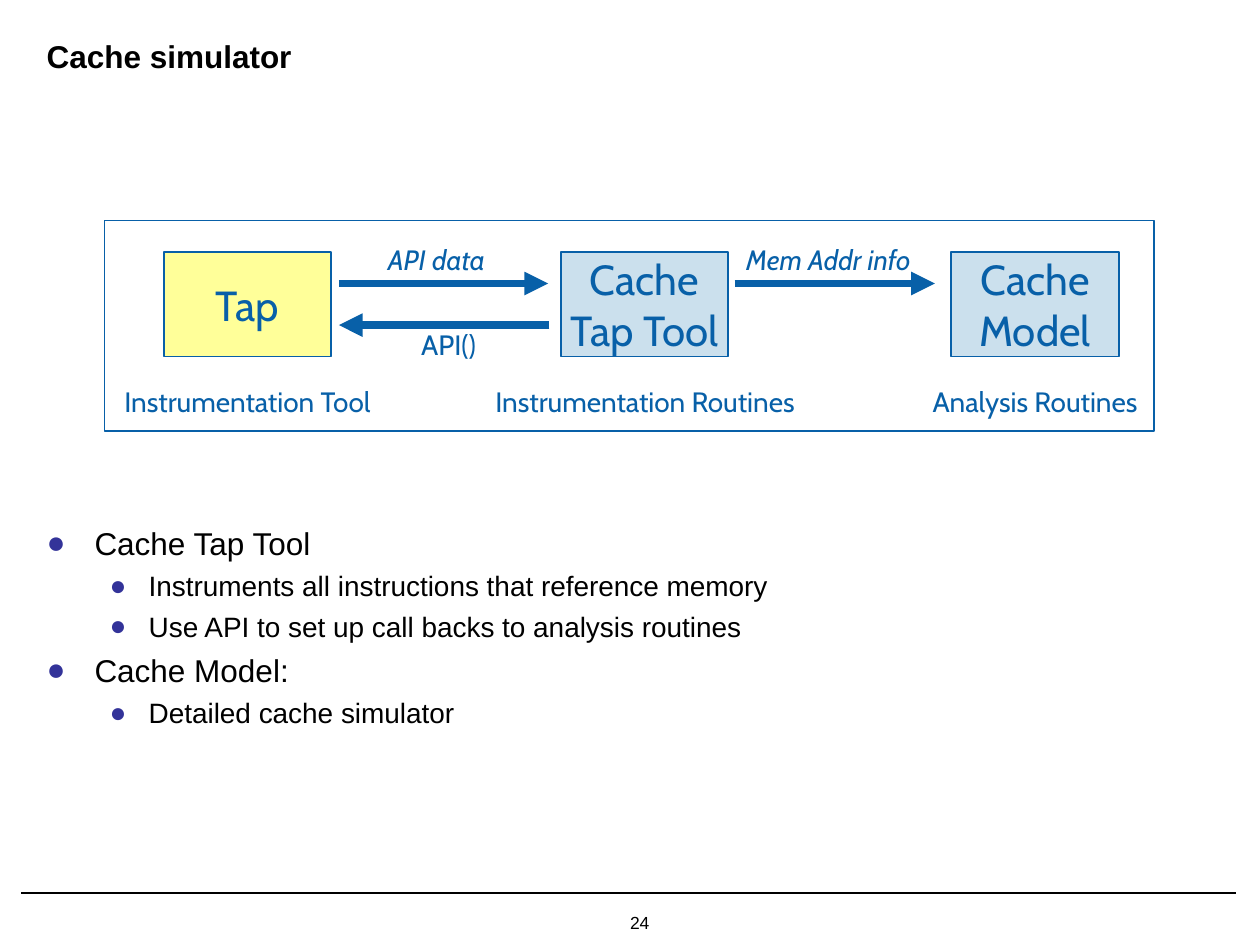
"""Build the cache simulator slide: a Tap tool diagram above a bullet list."""
import pptx
import pptx.dml.color
import pptx.enum.shapes
import pptx.enum.text
import pptx.oxml
import pptx.oxml.ns
import pptx.util
from pptx.util import Inches

BLACK = pptx.dml.color.RGBColor(0x00, 0x00, 0x00)
WHITE = pptx.dml.color.RGBColor(0xFF, 0xFF, 0xFF)
BLUE = pptx.dml.color.RGBColor(0x08, 0x60, 0xA8)
PALE_BLUE = pptx.dml.color.RGBColor(0xCB, 0xE0, 0xED)
YELLOW = pptx.dml.color.RGBColor(0xFF, 0xFF, 0x99)
BULLET = pptx.dml.color.RGBColor(0x33, 0x33, 0x99)

ALIGN = pptx.enum.text.PP_ALIGN
ANCHOR = pptx.enum.text.MSO_ANCHOR
NS = pptx.oxml.ns.nsdecls("a")


def add_run(p, text, size, font="Arial", color=BLACK, bold=False, italic=False):
    r = p.add_run()
    r.text = text
    r.font.size = pptx.util.Pt(size)
    r.font.name = font
    r.font.color.rgb = color
    r.font.bold = bold
    r.font.italic = italic


def add_line(x1, y1, x2, y2, color, width, arrow=False):
    line = slide.shapes.add_connector(
        pptx.enum.shapes.MSO_CONNECTOR.STRAIGHT,
        Inches(x1), Inches(y1), Inches(x2), Inches(y2))
    line.line.color.rgb = color
    line.line.width = pptx.util.Pt(width)
    if arrow:
        line.line._get_or_add_ln().append(
            pptx.oxml.parse_xml(f'<a:tailEnd {NS} type="triangle"/>'))
    line._element.spPr.append(pptx.oxml.parse_xml(f"<a:effectLst {NS}/>"))


prs = pptx.Presentation()
prs.slide_width = Inches(10)
prs.slide_height = Inches(7.5)
slide = prs.slides.add_slide(prs.slide_layouts[1])

add_line(0.17, 7.09, 9.81, 7.09, BLACK, 1)
sp = slide.shapes.add_textbox(Inches(5), Inches(7.24), Inches(0.31), Inches(0.17))
tf = sp.text_frame
tf.margin_left = tf.margin_right = tf.margin_top = tf.margin_bottom = 0
add_run(tf.paragraphs[0], "24", 10)

title = slide.shapes.title
title.left, title.top = Inches(0.27), Inches(0.21)
title.width, title.height = Inches(9.45), Inches(0.46)
title.text_frame.vertical_anchor = ANCHOR.MIDDLE
p = title.text_frame.paragraphs[0]
p.alignment = ALIGN.LEFT
add_run(p, "Cache simulator", 18, bold=True)

body = slide.placeholders[1]
body.left, body.top = Inches(0.27), Inches(4.11)
body.width, body.height = Inches(9.45), Inches(2.87)
levels = [(18, 4.5, 0.38, 0.38), (16, 4, 0.81, 0.31)]
bullets = [
    (0, "Cache Tap Tool"),
    (1, "Instruments all instructions that reference memory"),
    (1, "Use API to set up call backs to analysis routines"),
    (0, "Cache Model:"),
    (1, "Detailed cache simulator"),
]
for i, (level, text) in enumerate(bullets):
    size, before, margin, hanging = levels[level]
    p = body.text_frame.add_paragraph() if i else body.text_frame.paragraphs[0]
    p.level = level
    p.space_before = pptx.util.Pt(before if i else 0)
    pPr = p._p.get_or_add_pPr()
    pPr.set("marL", str(Inches(margin)))
    pPr.set("indent", str(-Inches(hanging)))
    for xml in (f'<a:buClr {NS}><a:srgbClr val="{BULLET}"/></a:buClr>',
                f'<a:buFont {NS} typeface="Arial"/>',
                f'<a:buChar {NS} char="●"/>'):
        pPr.append(pptx.oxml.parse_xml(xml))
    add_run(p, text, size)

boxes = [
    (0.83, 1.75, 8.33, 1.67, WHITE, []),
    (7.55, 2, 1.33, 0.83, PALE_BLUE, ["Cache", "Model"]),
    (4.45, 2, 1.33, 0.83, PALE_BLUE, ["Cache", "Tap Tool"]),
    (1.3, 2, 1.33, 0.83, YELLOW, ["Tap"]),
]
for x, y, w, h, fill, lines in boxes:
    sp = slide.shapes.add_shape(pptx.enum.shapes.MSO_SHAPE.RECTANGLE,
                                Inches(x), Inches(y), Inches(w), Inches(h))
    sp.shadow.inherit = False
    sp.fill.solid()
    sp.fill.fore_color.rgb = fill
    sp.line.color.rgb = BLUE
    sp.line.width = pptx.util.Pt(1)
    tf = sp.text_frame
    tf.word_wrap = False
    tf.vertical_anchor = ANCHOR.MIDDLE
    for i, text in enumerate(lines):
        p = tf.add_paragraph() if i else tf.paragraphs[0]
        p.alignment = ALIGN.CENTER
        add_run(p, text, 24, "Cabin", BLUE)

for x1, x2, y in [(4.36, 2.69, 2.58), (2.69, 4.35, 2.25), (5.83, 7.42, 2.25)]:
    add_line(x1, y, x2, y, BLUE, 4.5, arrow=True)

labels = [
    (3.68, 3, 2.88, "Instrumentation Routines", False),
    (7.21, 3, 2.01, "Analysis Routines", False),
    (0.76, 3, 2.41, "Instrumentation Tool", False),
    (3.22, 2.55, 0.68, "API()", False),
    (5.75, 1.88, 1.65, "Mem Addr info", True),
    (2.95, 1.88, 1.03, "API data", True),
]
for x, y, w, text, italic in labels:
    sp = slide.shapes.add_textbox(Inches(x), Inches(y), Inches(w), Inches(0.37))
    sp.text_frame.word_wrap = False
    p = sp.text_frame.paragraphs[0]
    p.alignment = ALIGN.CENTER
    add_run(p, text, 16, "Cabin", BLUE, italic=italic)

prs.save("out.pptx")
